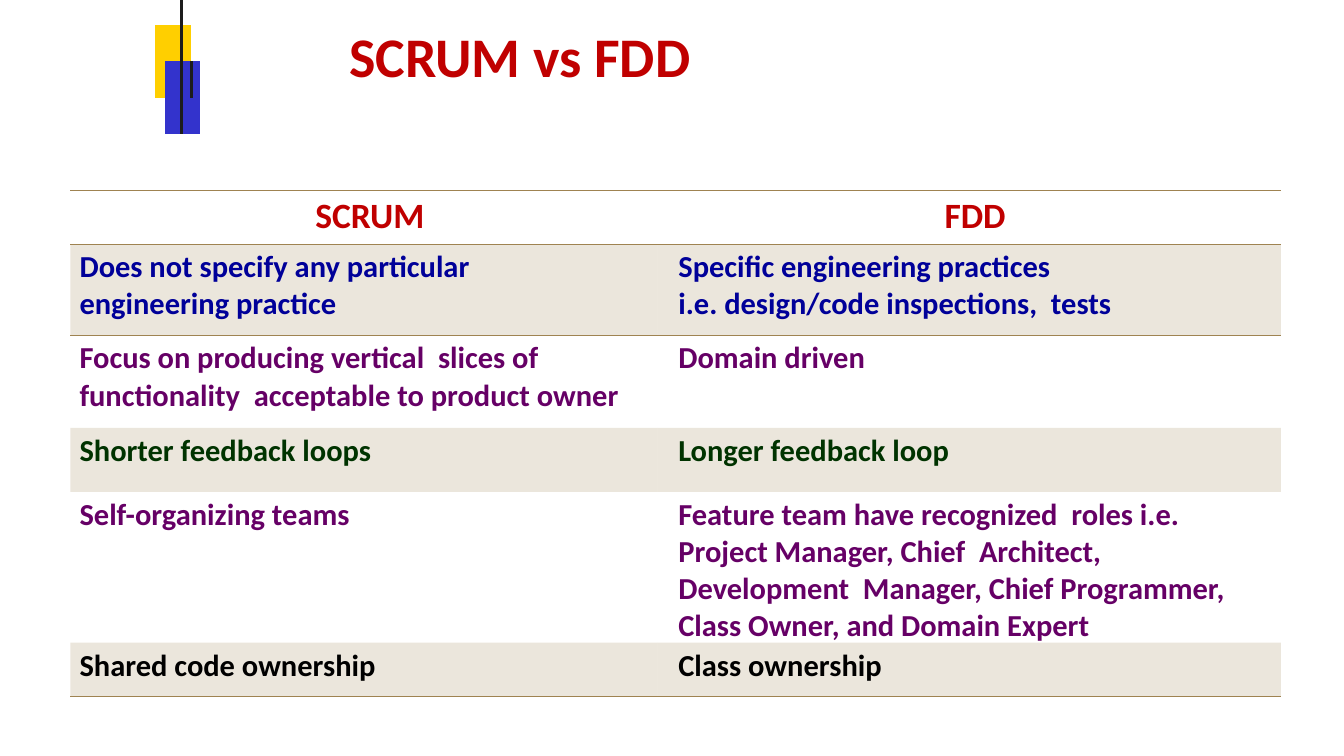
import pptx
import pptx.dml.color
import pptx.enum.text
import pptx.oxml
import pptx.oxml.ns
import pptx.util

PX = 9144  # EMU per px, 100 px to the inch
FONT = "Calibri"
RED, BLUE, PURPLE, GREEN, BLACK = "C00000", "000099", "660066", "003300", "000000"
TAN, YELLOW, INDIGO, CHARCOAL = "9F8351", "FFCF00", "3333CC", "1C1C1C"
PLAIN_TABLE_STYLE = "{2D5ABB26-0587-4C30-8999-92F81FD0307C}"
LEFT = pptx.enum.text.PP_ALIGN.LEFT
CENTER = pptx.enum.text.PP_ALIGN.CENTER

HEADINGS = ["SCRUM", "FDD"]
COMPARISON = [
    (BLUE, "Does not specify any particular\nengineering practice",
     "Specific engineering practices\ni.e. design/code inspections,  tests"),
    (PURPLE, "Focus on producing vertical  slices of functionality  acceptable to product owner",
     "Domain driven"),
    (GREEN, "Shorter feedback loops", "Longer feedback loop"),
    (PURPLE, "Self-organizing teams",
     "Feature team have recognized  roles i.e. Project Manager, Chief  Architect, "
     "Development  Manager, Chief Programmer,  Class Owner, and Domain Expert"),
    (BLACK, "Shared code ownership", "Class ownership"),
]


def px(length):
    return pptx.util.Emu(length * PX)


def rgb(color):
    return pptx.dml.color.RGBColor.from_string(color)


def write_text(frame, text, size=24, color=BLACK, align=LEFT, line_spacing=None):
    frame.word_wrap = True
    for index, line in enumerate(text.split("\n")):
        paragraph = frame.add_paragraph() if index else frame.paragraphs[0]
        paragraph.alignment = align
        paragraph.line_spacing = line_spacing
        run = paragraph.add_run()
        run.text = line
        run.font.name = FONT
        run.font.size = pptx.util.Pt(size)
        run.font.bold = True
        run.font.color.rgb = rgb(color)


def set_margins(target, left=0, top=0, right=0, bottom=0):
    target.margin_left, target.margin_top = px(left), px(top)
    target.margin_right, target.margin_bottom = px(right), px(bottom)


def add_plain_table(slide, left, top, widths, heights):
    frame = slide.shapes.add_table(len(heights), len(widths), px(left), px(top),
                                   px(sum(widths)), px(sum(heights)))
    table = frame.table
    table.first_row = table.horz_banding = False
    style = table._tbl.tblPr.find(pptx.oxml.ns.qn("a:tableStyleId"))
    style.text = PLAIN_TABLE_STYLE
    for column, width in zip(table.columns, widths):
        column.width = px(width)
    for row, height in zip(table.rows, heights):
        row.height = px(height)
    return table


def format_cell(cell, fill=None, opacity=100, sides="", line=BLACK, weight=1):
    """Draw the borders named in sides (in the order L, R, T, B), then the fill."""
    properties = cell._tc.get_or_add_tcPr()
    for side in sides:
        properties.append(pptx.oxml.parse_xml(
            f'<a:ln{side} {pptx.oxml.ns.nsdecls("a")} w="{int(weight * 12700)}">'
            f'<a:solidFill><a:srgbClr val="{line}"/></a:solidFill></a:ln{side}>'))
    if fill is None:
        cell.fill.background()
        return
    cell.fill.solid()
    cell.fill.fore_color.rgb = rgb(fill)
    if opacity < 100:
        color = properties.find(pptx.oxml.ns.qn("a:solidFill"))[0]
        color.append(pptx.oxml.parse_xml(
            f'<a:alpha {pptx.oxml.ns.nsdecls("a")} val="{opacity * 1000}"/>'))


def place_title(slide, left, top, width, height):
    title = slide.shapes.title
    title.left, title.top, title.width, title.height = map(px, (left, top, width, height))
    frame = title.text_frame
    set_margins(frame, top=1)
    frame.vertical_anchor = pptx.enum.text.MSO_ANCHOR.TOP
    frame.auto_size = pptx.enum.text.MSO_AUTO_SIZE.SHAPE_TO_FIT_TEXT
    write_text(frame, "SCRUM vs FDD", size=44, color=RED, line_spacing=0.85)


def place_comparison(slide, left, top):
    table = add_plain_table(slide, left, top, [642, 682], [59, 100, 101, 70, 160, 59])

    # Heading row
    for column, heading in enumerate(HEADINGS):
        cell = table.cell(0, column)
        set_margins(cell, left=13, top=5)
        write_text(cell.text_frame, heading, size=28, color=RED, align=CENTER)
        format_cell(cell, sides="TB", line=TAN)

    # Body rows, every other one tinted
    borders = {1: "T", len(COMPARISON): "B"}
    for row, (color, *texts) in enumerate(COMPARISON, start=1):
        for column, text in enumerate(texts):
            cell = table.cell(row, column)
            set_margins(cell, left=(10, 23)[column], top=5, right=33)
            write_text(cell.text_frame, text, color=color)
            format_cell(cell, fill=TAN if row % 2 else None, opacity=20,
                        sides=borders.get(row, ""), line=TAN)


def place_emblem(slide, left, top):
    fills = [
        [None, None, None, None],
        [YELLOW, YELLOW, YELLOW, None],
        [YELLOW, INDIGO, INDIGO, INDIGO],
        [None, INDIGO, INDIGO, INDIGO],
    ]
    merged_pairs = [(0, 0), (0, 2), (1, 0), (3, 2)]
    table = add_plain_table(slide, left, top, [10, 19, 10, 10], [40] * len(fills))
    for row, column in merged_pairs:
        table.cell(row, column).merge(table.cell(row, column + 1))
    for row, row_fills in enumerate(fills):
        for column, fill in enumerate(row_fills):
            cell = table.cell(row, column)
            set_margins(cell)
            # The upright line runs between the second and third columns
            line_column = 0 if (row, 0) in merged_pairs else 1
            sides = {line_column: "R", 2: "L"}.get(column, "")
            format_cell(cell, fill=fill, sides=sides, line=CHARCOAL, weight=2.6)


def main():
    presentation = pptx.Presentation()
    presentation.slide_width, presentation.slide_height = px(1470), px(827)
    slide = presentation.slides.add_slide(presentation.slide_layouts.get_by_name("Title Only"))
    place_title(slide, 382, 34, 715, 65)
    place_comparison(slide, 77, 208)
    place_emblem(slide, 170, -13)
    presentation.save("out.pptx")


if __name__ == "__main__":
    main()
